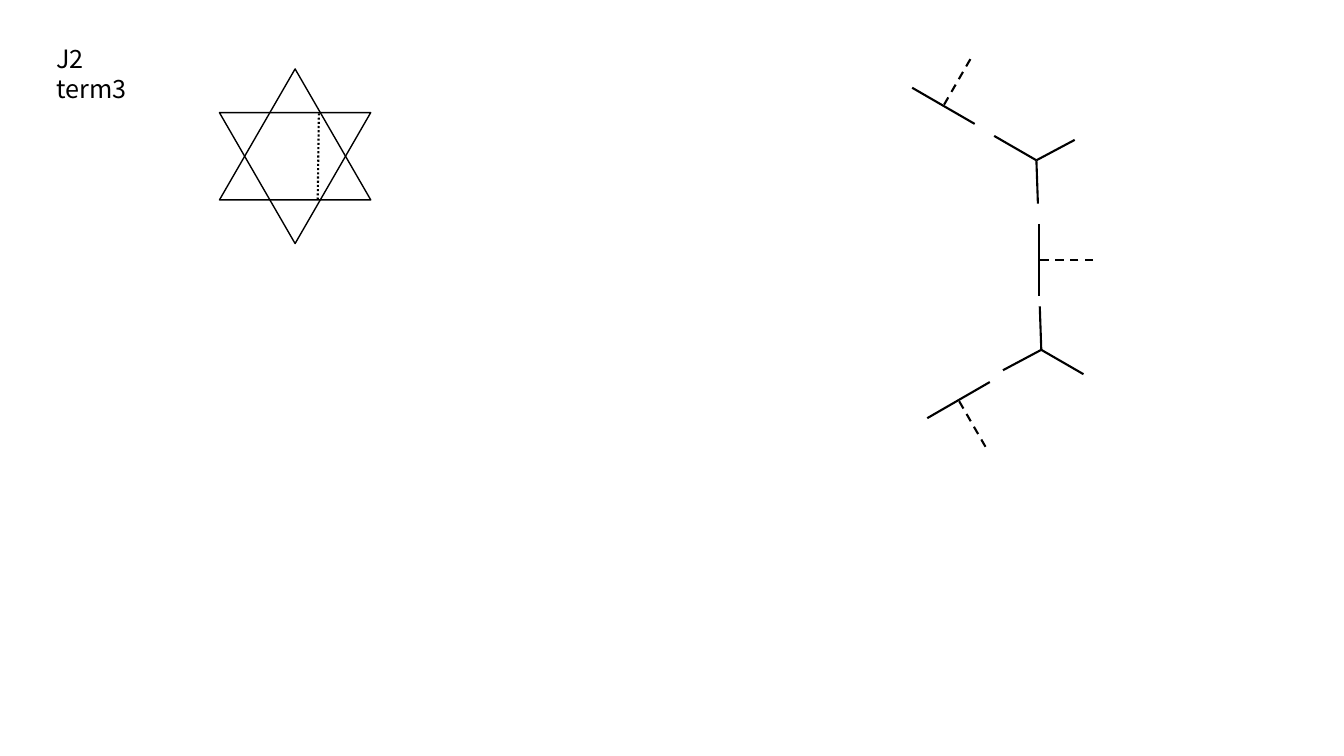
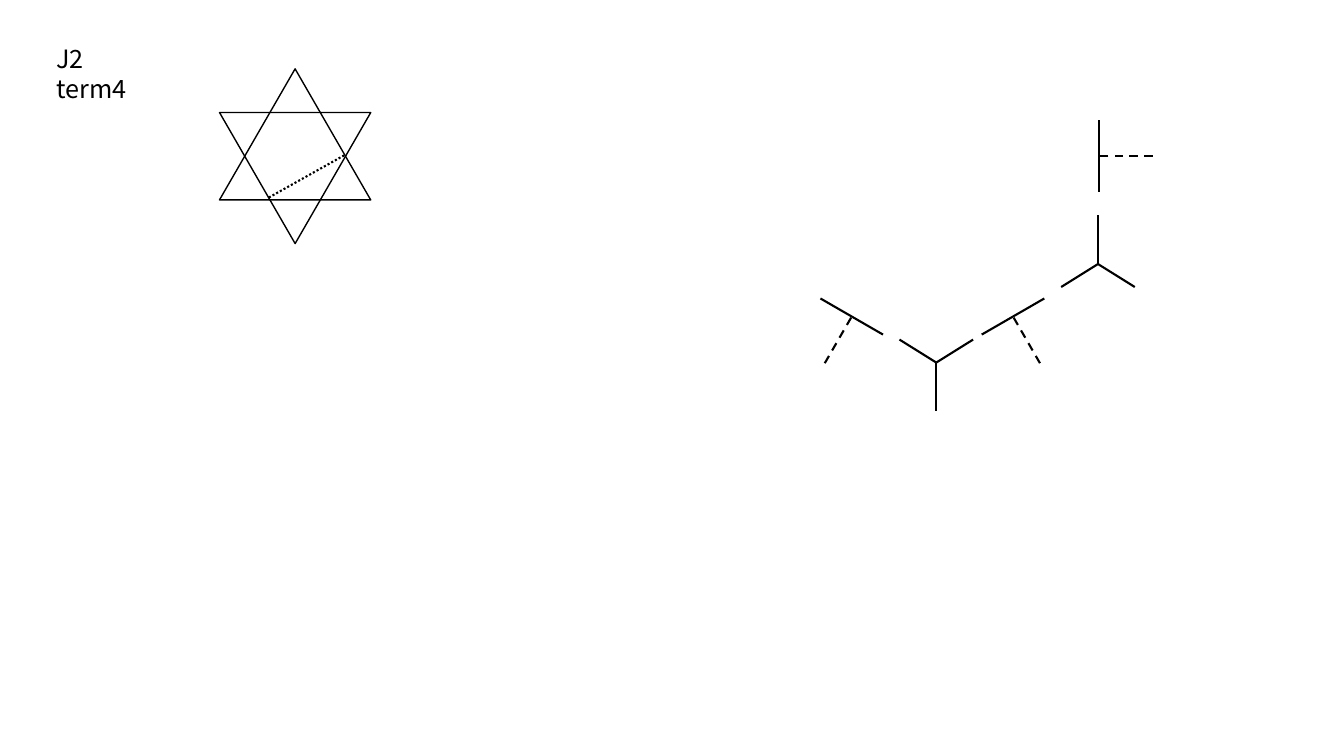
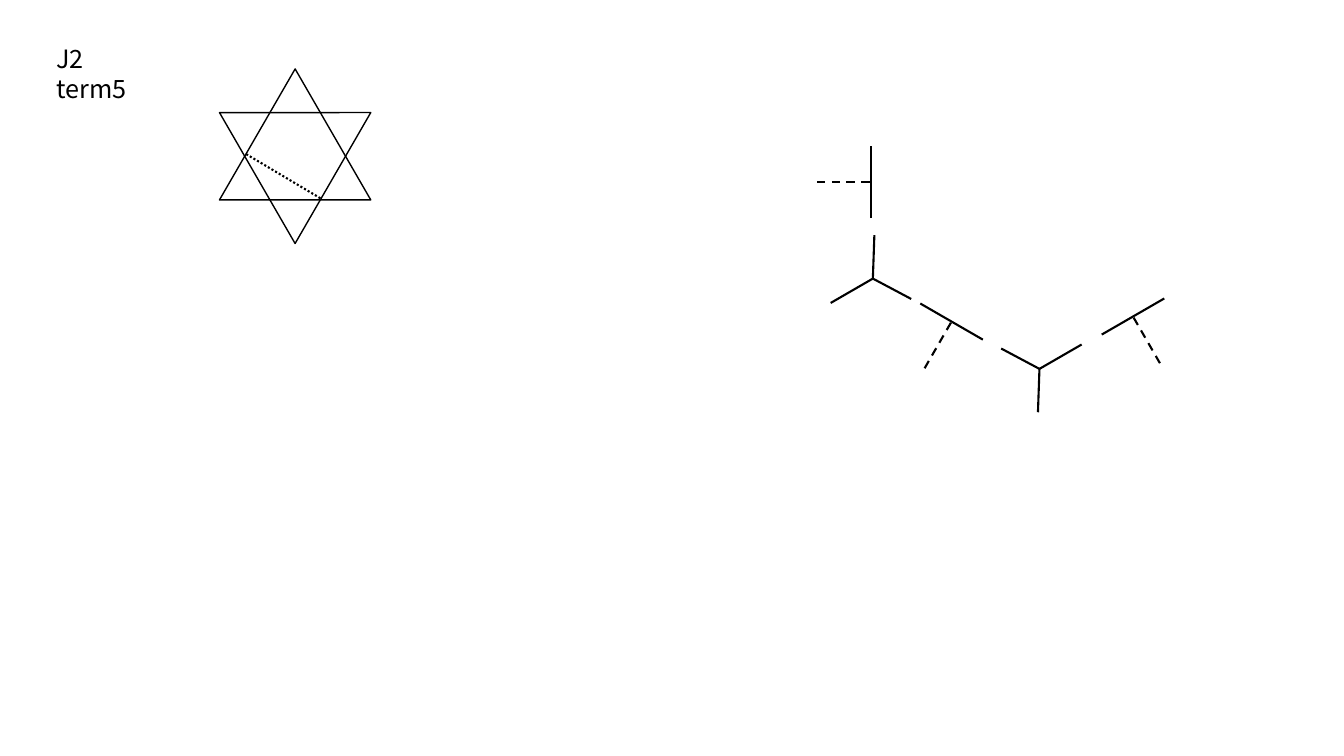
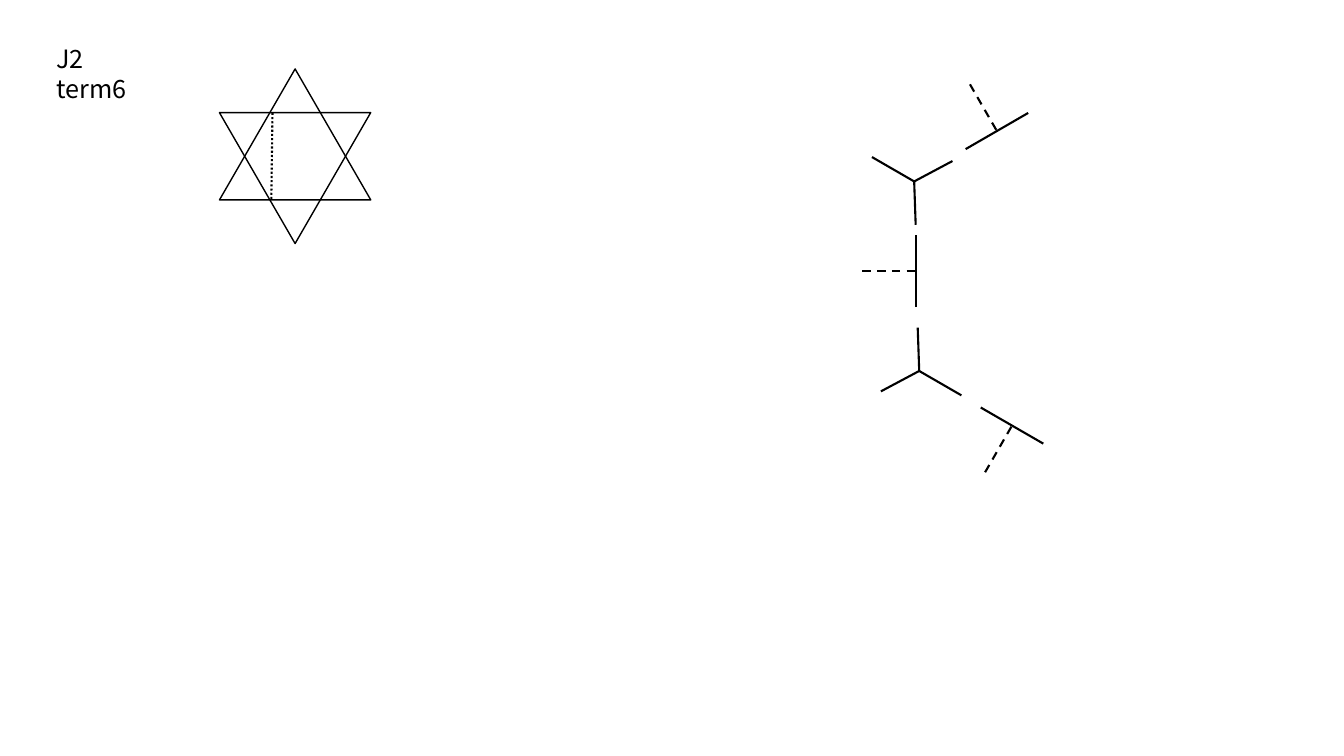
from math import cos, radians, sin
from lxml import etree
from pptx import Presentation
from pptx.enum import dml, shapes, text
from pptx.dml.color import RGBColor
from pptx.oxml import ns
from pptx.util import Pt

COLORS = {"ink": "000000"}
FONT = "Noto Sans CJK SC"
INK = RGBColor.from_string(COLORS["ink"])
STAR_X, STAR_Y = 210.8, 111.6
TRIANGLE_WIDTH, TRIANGLE_HEIGHT = 108, 93.6
CHORD_RADIUS = 35
BAR_HALF, STEM = 25.8, 38.5
LONG_ARM, SHORT_ARM, ARM_SPREAD = 34.8, 31, 122

terms = [
    {
        "label": "J2 term3",
        "forks": [(740.3, 114.5, 210), (743.8, 249.9, 30)],
        "tees": [(742.3, 185.8, 0), (673.9, 75.6, 300), (684.7, 285.8, 60)],
    },
    {
        "label": "J2 term4",
        "forks": [(784.3, 188.6, 270), (668.8, 259, 90)],
        "tees": [(723.6, 226.1, 60), (784.8, 111.6, 0), (608.4, 226.1, 120)],
    },
    {
        "label": "J2 term5",
        "forks": [(742.5, 263.5, 330), (623.5, 199, 150)],
        "tees": [(679.7, 229.7, 120), (809.3, 226.1, 60), (622.1, 130, 180)],
    },
    {
        "label": "J2 term6",
        "forks": [(656.6, 265, 30), (653, 129.6, 210)],
        "tees": [(654.5, 193.5, 180), (722.9, 304, 120), (712.1, 93.6, 240)],
    },
]


def polar(x, y, radius, angle):
    return x + radius * cos(radians(angle)), y + radius * sin(radians(angle))


def draw_line(group, start, end, dash=None):
    connector = group.shapes.add_connector(
        shapes.MSO_CONNECTOR.STRAIGHT, *[Pt(value) for value in (*start, *end)]
    )
    connector.line.color.rgb = INK
    connector.line.width = Pt(1.5)
    if dash is not None:
        connector.line.dash_style = dash
    etree.SubElement(connector._element.spPr, ns.qn("a:effectLst"))


presentation = Presentation()
presentation.slide_width = Pt(960)
presentation.slide_height = Pt(540)

for index, term in enumerate(terms):
    slide = presentation.slides.add_slide(presentation.slide_layouts[6])
    turn = 60 * index

    star = slide.shapes.add_group_shape()
    for rotation in (120 + turn, 300 + turn):
        center_x, center_y = polar(STAR_X, STAR_Y, TRIANGLE_HEIGHT / 6, rotation - 90)
        triangle = star.shapes.add_shape(
            shapes.MSO_SHAPE.ISOSCELES_TRIANGLE,
            Pt(center_x - TRIANGLE_WIDTH / 2),
            Pt(center_y - TRIANGLE_HEIGHT / 2),
            Pt(TRIANGLE_WIDTH),
            Pt(TRIANGLE_HEIGHT),
        )
        triangle.rotation = rotation % 360
        triangle.shadow.inherit = False
        triangle.fill.background()
        triangle.line.color.rgb = INK
        triangle.line.width = Pt(1)
    chord = [polar(STAR_X, STAR_Y, CHORD_RADIUS, angle + turn) for angle in (-61, 62.5)]
    draw_line(star, *chord, dml.MSO_LINE.ROUND_DOT)

    label = slide.shapes.add_textbox(Pt(33.1), Pt(27.4), Pt(81.4), Pt(28.8))
    label.text_frame.word_wrap = True
    label.text_frame.auto_size = text.MSO_AUTO_SIZE.SHAPE_TO_FIT_TEXT
    paragraph = label.text_frame.paragraphs[0]
    paragraph.text = term["label"]
    paragraph.line_spacing = Pt(21.5)
    paragraph.font.name = FONT
    paragraph.font.size = Pt(18)
    paragraph.font.color.rgb = INK

    diagram = slide.shapes.add_group_shape()
    for x, y, angle in term["forks"]:
        draw_line(diagram, (x, y), polar(x, y, LONG_ARM, angle))
        for spread in (-ARM_SPREAD, ARM_SPREAD):
            draw_line(diagram, (x, y), polar(x, y, SHORT_ARM, angle + spread))
    for x, y, angle in term["tees"]:
        draw_line(
            diagram,
            polar(x, y, BAR_HALF, angle - 90),
            polar(x, y, BAR_HALF, angle + 90),
        )
        draw_line(diagram, polar(x, y, STEM, angle), (x, y), dml.MSO_LINE.DASH)

presentation.save("out.pptx")
